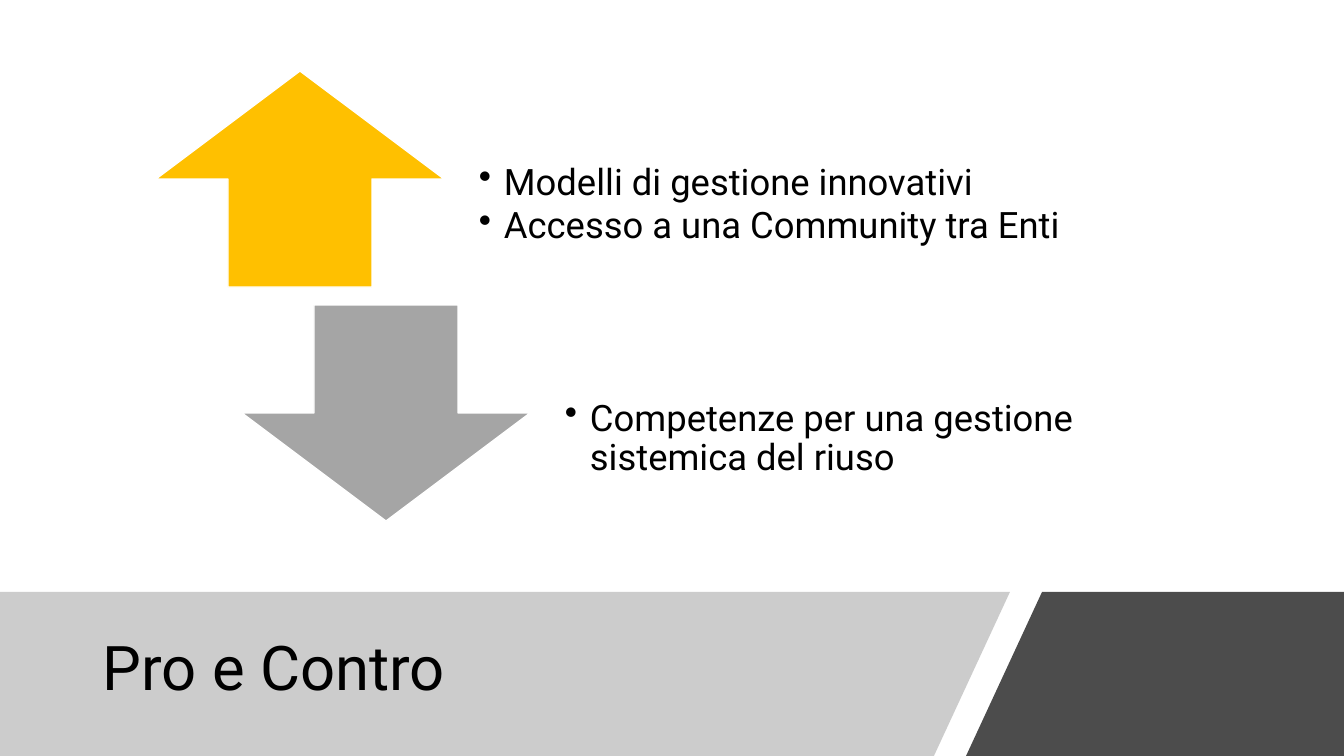
from lxml.etree import SubElement
from pptx import Presentation
from pptx.dml.color import RGBColor
from pptx.enum.shapes import MSO_SHAPE
from pptx.enum.text import MSO_ANCHOR
from pptx.oxml.ns import qn
from pptx.util import Pt

AMBER = RGBColor(0xFF, 0xC0, 0x00)
SILVER = RGBColor(0xA5, 0xA5, 0xA5)
GRAY = RGBColor(0x80, 0x80, 0x80)
BLACK = RGBColor(0x00, 0x00, 0x00)
WHITE = RGBColor(0xFF, 0xFF, 0xFF)

FONT = "Roboto"
SLIDE_W, SLIDE_H = 1344, 756
PX = 12192000 / SLIDE_W

TITLE = "Pro e Contro"
TITLE_BOX = (93, 610, 851, 121)
SIDES = [
    (MSO_SHAPE.UP_ARROW, AMBER,
     ["Modelli di gestione innovativi", "Accesso a una Community tra Enti"]),
    (MSO_SHAPE.DOWN_ARROW, SILVER,
     ["Competenze per una gestione sistemica del riuso"]),
]
BAND_TOP = 592
BANDS = [  # colour, opacity in percent, corners
    (GRAY, 40, [(0, BAND_TOP), (1010, BAND_TOP), (934, SLIDE_H), (0, SLIDE_H)]),
    (BLACK, 70, [(1042, BAND_TOP), (SLIDE_W, BAND_TOP),
                 (SLIDE_W, SLIDE_H), (966, SLIDE_H)]),
]

FIRST_LEFT, FIRST_TOP = 156, 71
STEP_X, STEP_Y = 86, 234
ARROW_W, ARROW_H = 288, 216
POINTS_GAP, POINTS_W = 9, 649
POINTS_INSETS = {"margin_left": 26, "margin_top": 52,
                 "margin_right": 26, "margin_bottom": 0}
BULLET_INDENT = 25


def emu(px):
    return round(px * PX)


def add_band(slide, colour, opacity, corners):
    builder = slide.shapes.build_freeform(*corners[0], scale=PX)
    builder.add_line_segments(corners[1:], close=True)
    band = builder.convert_to_shape()
    band.shadow.inherit = False
    band.line.fill.background()
    band.fill.solid()
    band.fill.fore_color.rgb = colour
    rgb = band.fill._xPr.find(qn("a:solidFill")).find(qn("a:srgbClr"))
    SubElement(rgb, qn("a:alpha")).set("val", str(opacity * 1000))


def add_text(slide, box, lines, size, insets=None):
    """Add a vertically centred text box and return its paragraphs."""
    frame = slide.shapes.add_textbox(*map(emu, box)).text_frame
    frame.word_wrap = True
    frame.vertical_anchor = MSO_ANCHOR.MIDDLE
    for side, inset in (insets or {}).items():
        setattr(frame, side, emu(inset))
    frame.text = "\n".join(lines)
    font_format = {"name": FONT, "size": Pt(size)}
    for paragraph in frame.paragraphs:
        paragraph.line_spacing = 0.9
        for attribute, value in font_format.items():
            setattr(paragraph.runs[0].font, attribute, value)
        paragraph.runs[0].font.color.rgb = BLACK
    return frame.paragraphs


def add_bullet(paragraph):
    paragraph.space_after = Pt(3)
    properties = paragraph._p.get_or_add_pPr()
    properties.set("marL", str(emu(BULLET_INDENT)))
    properties.set("indent", str(-emu(BULLET_INDENT)))
    SubElement(properties, qn("a:buChar")).set("char", "•")


def add_side(slide, index, arrow_kind, colour, points):
    left = FIRST_LEFT + index * STEP_X
    top = FIRST_TOP + index * STEP_Y
    arrow = slide.shapes.add_shape(
        arrow_kind, *map(emu, (left, top, ARROW_W, ARROW_H)))
    arrow.shadow.inherit = False
    arrow.fill.solid()
    arrow.fill.fore_color.rgb = colour
    arrow.line.color.rgb = WHITE
    arrow.line.width = Pt(1)
    points_box = (left + ARROW_W + POINTS_GAP, top, POINTS_W, ARROW_H)
    for paragraph in add_text(slide, points_box, points, 26, POINTS_INSETS):
        add_bullet(paragraph)


def main():
    presentation = Presentation()
    presentation.slide_width = emu(SLIDE_W)
    presentation.slide_height = emu(SLIDE_H)
    slide = presentation.slides.add_slide(presentation.slide_layouts[6])
    for band in BANDS:
        add_band(slide, *band)
    add_text(slide, TITLE_BOX, [TITLE], 44)
    for index, side in enumerate(SIDES):
        add_side(slide, index, *side)
    presentation.save("out.pptx")


if __name__ == "__main__":
    main()
